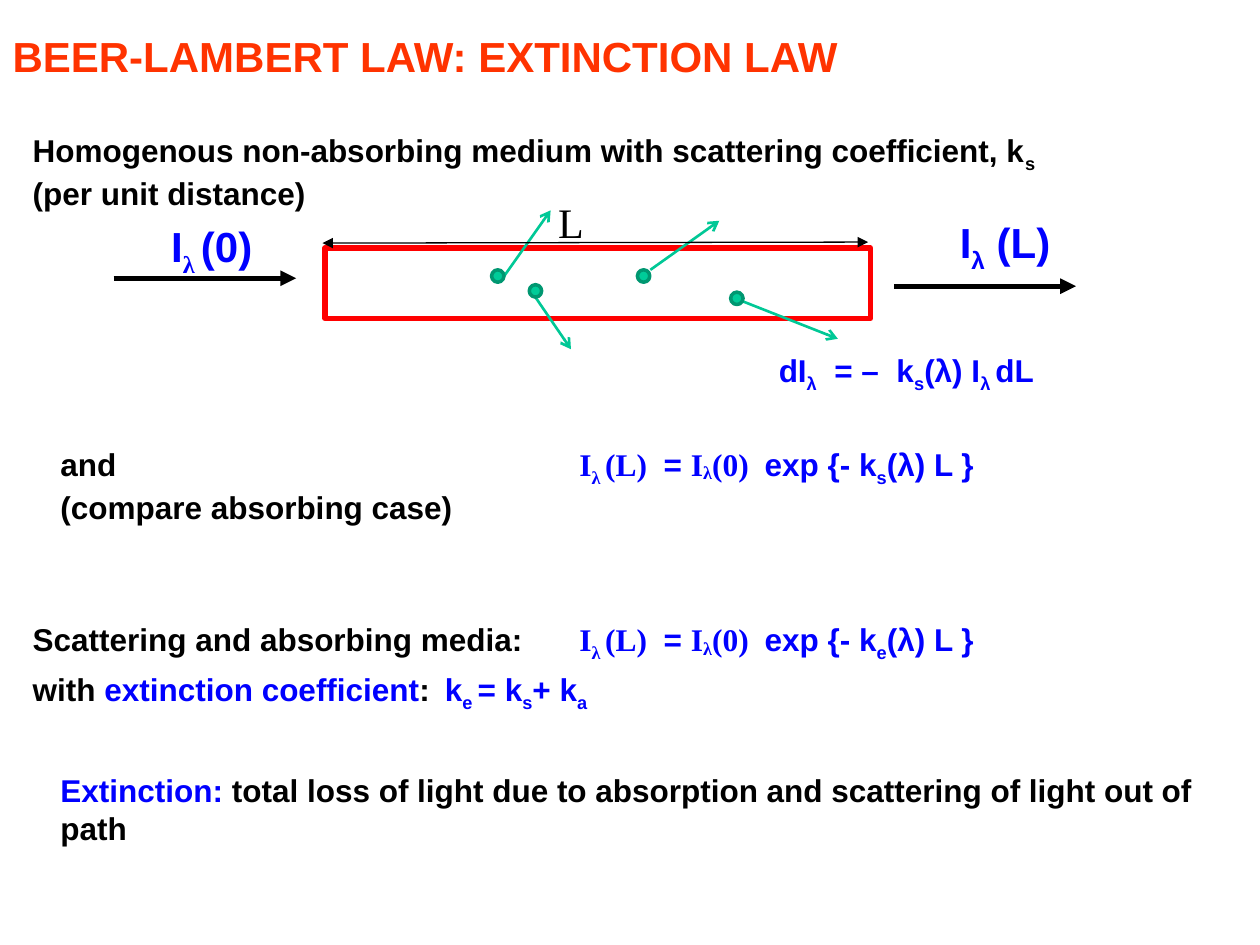
import pptx
import pptx.dml.color
import pptx.enum.shapes
import pptx.enum.text
import pptx.oxml
import pptx.oxml.ns
import pptx.util

Cm = pptx.util.Cm
Pt = pptx.util.Pt
RGB = pptx.dml.color.RGBColor
Shape = pptx.enum.shapes.MSO_SHAPE
Align = pptx.enum.text.PP_ALIGN
Anchor = pptx.enum.text.MSO_ANCHOR

BLACK = RGB(0x00, 0x00, 0x00)
BLUE = RGB(0x00, 0x00, 0xFF)
RED = RGB(0xFF, 0x00, 0x00)
ORANGE = RGB(0xFF, 0x33, 0x00)
RAY = RGB(0x00, 0xC8, 0x96)
DOT = RGB(0x00, 0xCC, 0x99)
DOT_EDGE = RGB(0x00, 0x97, 0x71)

SANS, SERIF = "Arial", "Times New Roman"
INDENT = 0.56
FORMULA_TAB = 11.02


def piece(text, color=BLUE, font=SANS, base=0):
    return text, color, font, base


def sub(text, font=SANS, base=-25):
    return piece(text, BLUE, font, base)


def attenuation(coefficient):
    """Runs of the exponential law for one attenuation coefficient."""
    return [piece("I", font=SERIF), sub("λ ", SERIF), piece("(L) ", font=SERIF),
            piece(" = "), piece("I", font=SERIF), sub("λ", SERIF, -10),
            piece("(0)  ", font=SERIF), piece("exp {- k"), sub(coefficient),
            piece("(λ) L }")]


class SlideBuilder:
    def __init__(self, slide):
        self.slide = slide

    def fill_paragraph(self, paragraph, runs, size, bold=True, layout=None):
        for name, value in (layout or {}).items():
            setattr(paragraph, name, value)
        for text, color, font, base in runs:
            run = paragraph.add_run()
            run.text = text
            for name, value in dict(name=font, size=Pt(size), bold=bold).items():
                setattr(run.font, name, value)
            run.font.color.rgb = color
            if base:
                run.font._element.set("baseline", str(base * 1000))

    def set_tabs(self, paragraph, stops):
        properties = paragraph._p.get_or_add_pPr()
        tab_list = pptx.oxml.parse_xml(
            f"<a:tabLst {pptx.oxml.ns.nsdecls('a')}/>")
        for stop in stops:
            tab = tab_list.makeelement(pptx.oxml.ns.qn("a:tab"),
                                       {"pos": str(int(Cm(stop))), "algn": "l"})
            tab_list.append(tab)
        properties.append(tab_list)

    def title(self, box, text):
        heading = self.slide.shapes.title
        for name, value in zip(("left", "top", "width", "height"), box):
            setattr(heading, name, Cm(value))
        frame = heading.text_frame
        frame.auto_size = pptx.enum.text.MSO_AUTO_SIZE.NONE
        frame.vertical_anchor = Anchor.MIDDLE
        self.fill_paragraph(frame.paragraphs[0], [piece(text, ORANGE)], 24,
                            layout=dict(alignment=Align.LEFT))

    def text_frame(self, box, wrap=True):
        frame = self.slide.shapes.add_textbox(*map(Cm, box)).text_frame
        frame.word_wrap = wrap
        return frame

    def label(self, box, runs, bold=True, wrap=True, **layout):
        frame = self.text_frame(box, wrap)
        self.fill_paragraph(frame.paragraphs[0], runs, 24, bold, layout)

    def body(self, box, lines):
        """Each line is (space before in points, left margin, tab stops, runs)."""
        frame = self.text_frame(box)
        for index, (space, margin, tabs, runs) in enumerate(lines):
            paragraph = frame.add_paragraph() if index else frame.paragraphs[0]
            self.fill_paragraph(paragraph, runs, 18,
                                layout=dict(space_before=Pt(space)))
            paragraph._p.get_or_add_pPr().set("marL", str(int(Cm(margin))))
            if tabs:
                self.set_tabs(paragraph, tabs)

    def shape(self, kind, box, line, width, fill=None):
        item = self.slide.shapes.add_shape(kind, *map(Cm, box))
        item.shadow.inherit = False
        if fill is None:
            item.fill.background()
        else:
            item.fill.solid()
            item.fill.fore_color.rgb = fill
        item.line.color.rgb = line
        item.line.width = Pt(width)

    def arrow(self, start, end, color, width, **ends):
        """Ends are headEnd and tailEnd, each with an arrowhead type."""
        line = self.slide.shapes.add_connector(
            pptx.enum.shapes.MSO_CONNECTOR.STRAIGHT, *map(Cm, start + end))
        line.line.color.rgb = color
        line.line.width = Pt(width)
        outline = line.line._get_or_add_ln()
        for tag, kind in ends.items():
            outline.append(outline.makeelement(pptx.oxml.ns.qn(f"a:{tag}"),
                                               {"type": kind}))
        properties = line._element.spPr
        properties.append(properties.makeelement(
            pptx.oxml.ns.qn("a:effectLst"), {}))


def main():
    deck = pptx.Presentation()
    deck.slide_width, deck.slide_height = Cm(25.4), Cm(19.05)
    builder = SlideBuilder(deck.slides.add_slide(deck.slide_layouts[5]))

    builder.body((0.41, 2.51, 24.51, 14.48), [
        (4, 0, [], [piece("Homogenous non-absorbing medium with scattering "
                          "coefficient, k", BLACK),
                    piece("s", BLACK, base=-25)]),
        (0, 0, [], [piece("(per unit distance)", BLACK)]),
        (80, 0, [15.04], [piece("\tdI"), sub("λ"), piece("  = –  k"), sub("s"),
                          piece("(λ) I"), sub("λ "), piece("dL")]),
        (29, 0, [INDENT, FORMULA_TAB],
         [piece("\tand\t", BLACK)] + attenuation("s")),
        (0, INDENT, [], [piece("(compare absorbing case)", BLACK)]),
        (54, 0, [FORMULA_TAB],
         [piece("Scattering and absorbing media:\t", BLACK)] + attenuation("e")),
        (4, 0, [8.31], [piece("with ", BLACK), piece("extinction coefficient"),
                        piece(":\t", BLACK), piece("k"), sub("e "),
                        piece("= k"), sub("s"), piece("+ k"), sub("a")]),
        (33, INDENT, [], [piece("Extinction: "),
                          piece("total loss of light due to absorption and "
                                "scattering of light out of path", BLACK)]),
    ])
    builder.title((0, -0.51, 19.48, 3.28), "BEER-LAMBERT LAW: EXTINCTION LAW")

    builder.shape(Shape.RECTANGLE, (6.55, 5, 11, 1.42), RED, 3)
    for left, right, y in ((2.29, 5.97, 5.61), (18.03, 21.69, 5.77)):
        builder.arrow((left, y), (right, y), BLACK, 3, tailEnd="triangle")

    scattered_rays = [((10.11, 5.64), (11.1, 4.24)),
                      ((14.91, 6.05), (16.89, 6.83)),
                      ((13.11, 5.44), (14.5, 4.45)),
                      ((10.69, 5.84), (11.51, 7.04))]
    for start, end in scattered_rays:
        builder.arrow(start, end, RAY, 1.5, tailEnd="arrow")
    for left, top in ((14.73, 5.89), (12.85, 5.44), (9.91, 5.44), (10.67, 5.74)):
        builder.shape(Shape.OVAL, (left, top, 0.25, 0.25), DOT_EDGE, 2, DOT)

    builder.label((2.44, 4.34, 3.66, 1.19),
                  [piece("I"), sub("λ ", SERIF), piece("(0)")],
                  alignment=Align.CENTER, line_spacing=0.9, space_before=Pt(5))
    builder.label((19.1, 4.24, 3.4, 1.27),
                  [piece("I"), sub("λ"), piece(" (L)")], space_before=Pt(12))
    builder.arrow((6.5, 4.9), (17.5, 4.88), BLACK, 0.75,
                  headEnd="triangle", tailEnd="triangle")
    builder.label((11, 3.84, 1.04, 1.3), [piece("L", BLACK, SERIF)],
                  bold=False, wrap=False)
    deck.save("out.pptx")


if __name__ == "__main__":
    main()
